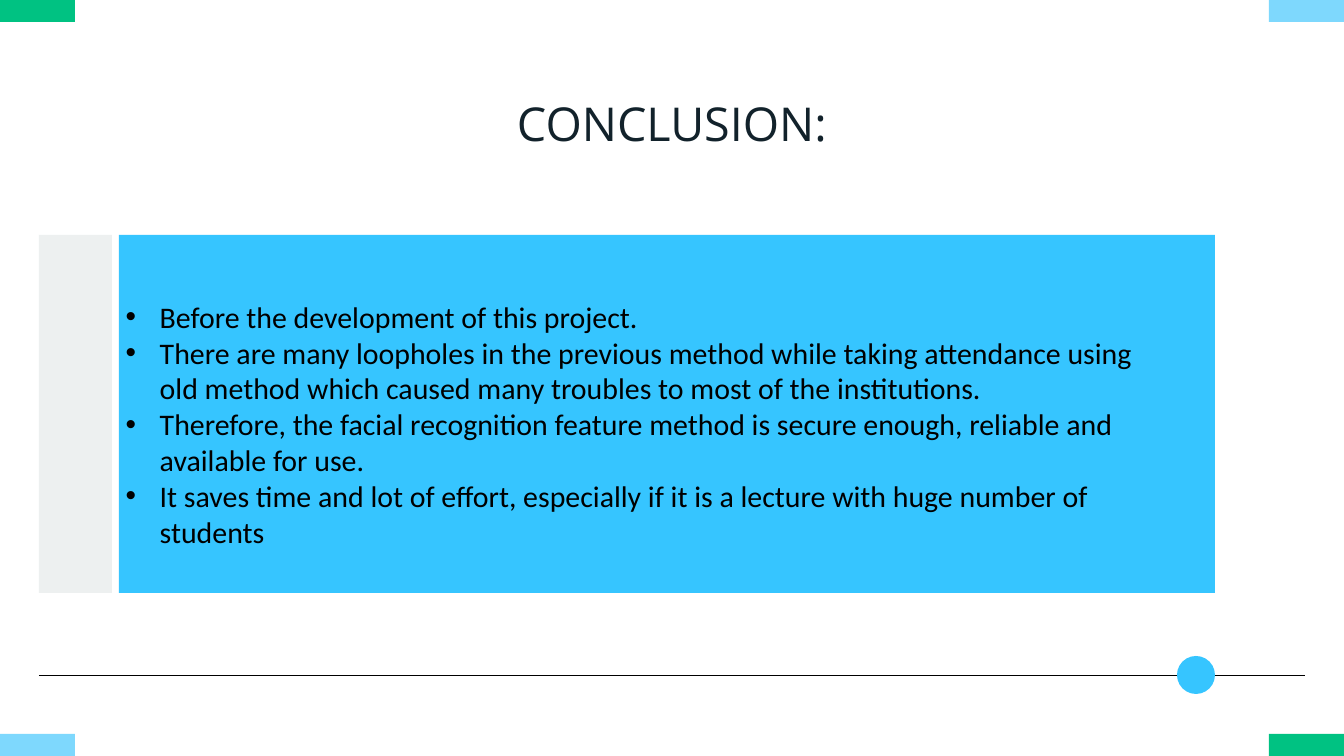
from pptx import Presentation
from pptx.dml.color import RGBColor
from pptx.enum.shapes import MSO_CONNECTOR as Connector, MSO_SHAPE as Shape
from pptx.enum.text import MSO_ANCHOR as Anchor, MSO_AUTO_SIZE as AutoSize, PP_ALIGN as Align
from pptx.oxml.ns import qn
from pptx.util import Pt
from lxml.etree import SubElement

TITLE = "CONCLUSION:"
POINTS = [
    "Before the development of this project.",
    "There are many loopholes in the previous method while taking attendance using "
    "old method which caused many troubles to most of the institutions.",
    "Therefore, the facial recognition feature method is secure enough, reliable and "
    "available for use.",
    "It saves time and lot of effort, especially if it is a lecture with huge number of students",
]

BLUE, PALE_BLUE, GREEN, GREY = "36C5FF", "7ED8FD", "00C282", "EDF0F0"
INK, BLACK = "12222B", "000000"

WIDTH, HEIGHT = 1344, 756
MARGIN = 39
CORNER_W, CORNER_H = 75, 22
PANEL_TOP, PANEL_H = 235, 358
PANEL_LEFT, PANEL_RIGHT = 119, 1215
RULE_Y, DOT = 675, 38
BULLET_INDENT = 34


def px(count):
    return round(count * 914400 / 67.2)


def color(value):
    return RGBColor.from_string(value)


def add_block(page, box, fill, kind=Shape.RECTANGLE):
    block = page.shapes.add_shape(kind, *map(px, box))
    block.shadow.inherit = False
    block.fill.solid()
    block.fill.fore_color.rgb = color(fill)
    block.line.fill.background()


def add_rule(page):
    rule = page.shapes.add_connector(
        Connector.STRAIGHT, px(MARGIN), px(RULE_Y), px(WIDTH - MARGIN), px(RULE_Y))
    rule.line.color.rgb = color(BLACK)
    rule.line.width = Pt(0.75)
    SubElement(rule._element.spPr, qn("a:effectLst"))


def place_text(holder, box, lines, *, font, size, ink, align, spacing, inset=None, indent=None):
    """Move a placeholder above the blocks and fill it, one paragraph per line."""
    holder.left, holder.top, holder.width, holder.height = map(px, box)
    holder.element.getparent().append(holder.element)
    frame = holder.text_frame
    frame.text = "\n".join(lines)
    frame.word_wrap = True
    frame.auto_size = AutoSize.NONE
    frame.vertical_anchor = Anchor.TOP
    if inset is not None:
        frame.margin_left = frame.margin_top = frame.margin_right = frame.margin_bottom = px(inset)
    for para in frame.paragraphs:
        para.alignment = align
        para.line_spacing = spacing
        para.space_before = para.space_after = Pt(0)
        if indent is not None:
            properties = para._p.get_or_add_pPr()
            properties.set("marL", str(px(indent)))
            properties.set("indent", str(-px(indent)))
        for span in para.runs:
            span.font.name = font
            span.font.size = Pt(size)
            span.font.color.rgb = color(ink)


def main():
    deck = Presentation()
    deck.slide_width, deck.slide_height = px(WIDTH), px(HEIGHT)
    page = deck.slides.add_slide(deck.slide_layouts[1])

    add_block(page, (PANEL_LEFT, PANEL_TOP, PANEL_RIGHT - PANEL_LEFT, PANEL_H), BLUE)
    add_block(page, (MARGIN, PANEL_TOP, 73, PANEL_H), GREY)
    add_rule(page)

    right, bottom = WIDTH - CORNER_W, HEIGHT - CORNER_H
    for left, top, fill in [(0, bottom, PALE_BLUE), (right, 0, PALE_BLUE),
                            (0, 0, GREEN), (right, bottom, GREEN)]:
        add_block(page, (left, top, CORNER_W, CORNER_H), fill)

    add_block(page, (PANEL_RIGHT - DOT, RULE_Y - DOT / 2, DOT, DOT), BLUE, Shape.OVAL)

    title, body = page.placeholders
    place_text(title, (233, 97, 878, 110), [TITLE], font="Open Sans", size=50, ink=INK,
               align=Align.CENTER, spacing=Pt(58), inset=0)
    place_text(body, (PANEL_LEFT, 295, 1062, 260), POINTS, font="Calibri", size=32, ink=BLACK,
               align=Align.LEFT, spacing=1.0, indent=BULLET_INDENT)

    deck.save("out.pptx")


if __name__ == "__main__":
    main()
